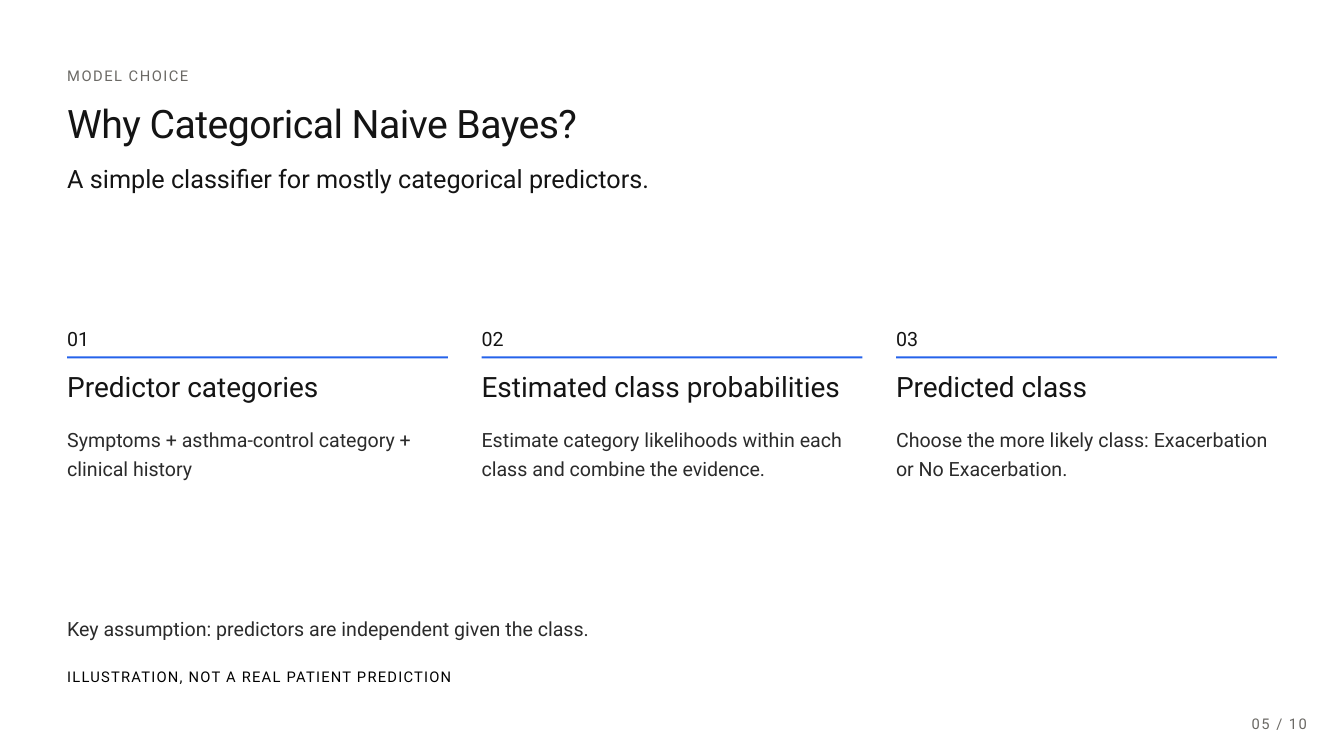
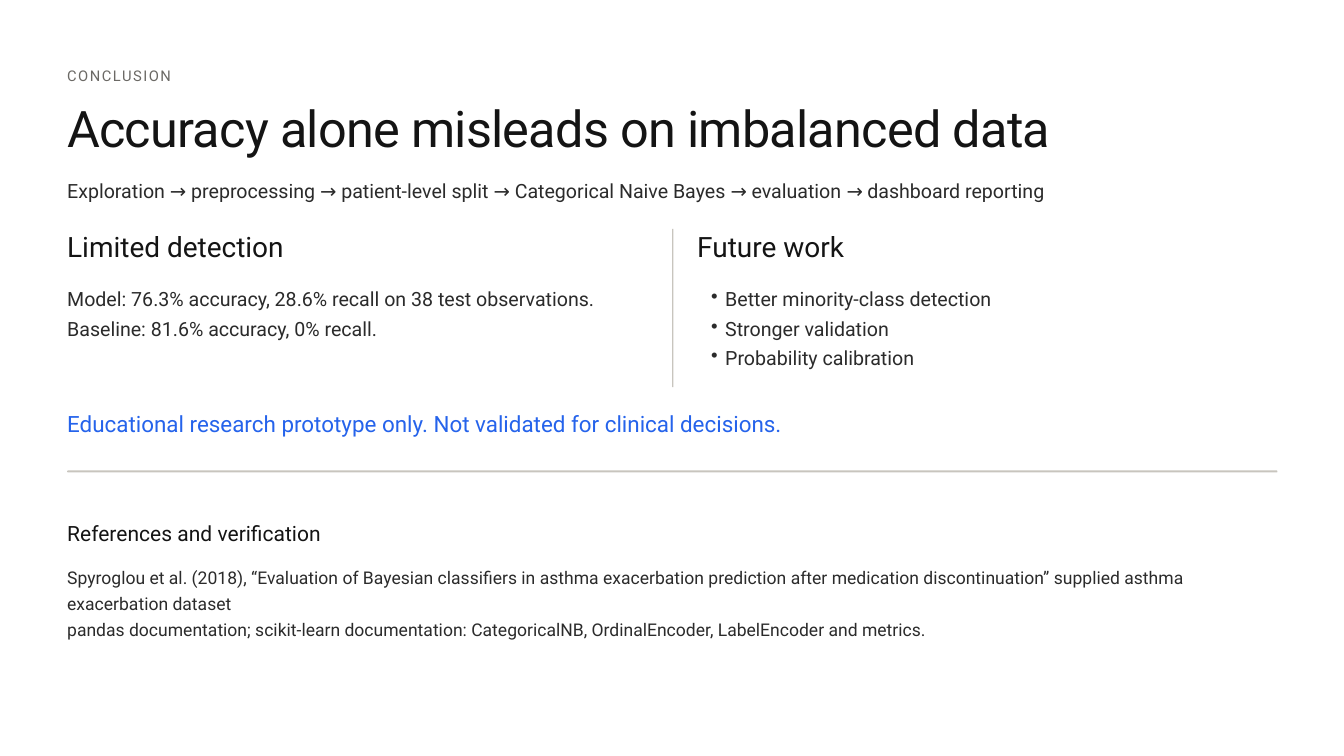
from collections import namedtuple

from lxml.etree import SubElement
from pptx import Presentation
from pptx.dml.color import RGBColor
from pptx.enum.shapes import MSO_SHAPE as Shape
from pptx.enum.text import MSO_ANCHOR as Anchor, MSO_AUTO_SIZE as AutoSize
from pptx.oxml.ns import qn
from pptx.util import Pt

PX = 9525  # EMU in one px, 96 px to the inch
SLIDE_W, SLIDE_H = 1920, 1080
LEFT, CONTENT_W = 96, 1729
FULL_W = SLIDE_W - LEFT
FONT = "Roboto"

COLORS = {
    "paper": "FFFFFF",
    "ink": "141414",
    "body": "2B2B2B",
    "muted": "6B6965",
    "black": "000000",
    "accent": "2563EB",
    "rule": "C8C5BE",
}

# Size, line spacing and tracking are in points.
Style = namedtuple("Style", "size leading color tracking", defaults=[0])
STYLES = {
    "kicker": Style(15.8, 22.1, "muted", 1.6),
    "title": Style(42, 45.4, "ink", -0.6),
    "big title": Style(54, 58.4, "ink", -0.8),
    "subtitle": Style(27, 37.9, "ink"),
    "number": Style(21, 20.9, "ink"),
    "heading": Style(30, 42.1, "ink"),
    "small heading": Style(22.5, 31.6, "ink"),
    "body": Style(21, 31.5, "body"),
    "reference": Style(18.8, 28.1, "body"),
    "caveat": Style(24, 36, "accent"),
    "disclaimer": Style(15.8, 23.6, "black", 1.3),
    "page": Style(15.8, 23.6, "muted", 1.6),
}

STEPS = [
    ("Predictor categories",
     "Symptoms + asthma-control category + clinical history"),
    ("Estimated class probabilities",
     "Estimate category likelihoods within each class and combine the evidence."),
    ("Predicted class",
     "Choose the more likely class: Exacerbation or No Exacerbation."),
]
STEP_GAP = 48

FINDINGS = [
    "Model: 76.3% accuracy, 28.6% recall on 38 test observations.",
    "Baseline: 81.6% accuracy, 0% recall.",
]
FUTURE_WORK = [
    "Better minority-class detection",
    "Stronger validation",
    "Probability calibration",
]
REFERENCES = [
    "Spyroglou et al. (2018), “Evaluation of Bayesian classifiers in asthma "
    "exacerbation prediction after medication discontinuation” supplied asthma "
    "exacerbation dataset",
    "pandas documentation; scikit-learn documentation: CategoricalNB, "
    "OrdinalEncoder, LabelEncoder and metrics.",
]


def px(*lengths):
    return [length * PX for length in lengths]


def rgb(color):
    return RGBColor.from_string(COLORS[color])


def add_bullet(paragraph):
    properties = paragraph._p.get_or_add_pPr()
    properties.set("marL", str(40 * PX))
    properties.set("indent", str(-20 * PX))
    SubElement(properties, qn("a:buChar"), char="•")


def add_text(slide, lines, style_name, left, top, width, height, bulleted=False):
    """Place one line, or a list of lines as paragraphs, in a named style."""
    style = STYLES[style_name]
    box = slide.shapes.add_textbox(*px(left, top, width, height))
    frame = box.text_frame
    frame.word_wrap = True
    frame.auto_size = AutoSize.SHAPE_TO_FIT_TEXT
    frame.margin_left = frame.margin_right = 0
    frame.margin_top = frame.margin_bottom = 0
    frame.text = lines if isinstance(lines, str) else "\n".join(lines)
    for paragraph in frame.paragraphs:
        paragraph.line_spacing = Pt(style.leading)
        if bulleted:
            add_bullet(paragraph)
        for run in paragraph.runs:
            run.font.name = FONT
            run.font.size = Pt(style.size)
            run.font.color.rgb = rgb(style.color)
            if style.tracking:
                run._r.get_or_add_rPr().set("spc", str(round(style.tracking * 100)))
    return frame


def add_bar(slide, color, left, top, width, height, outline=Shape.RECTANGLE):
    bar = slide.shapes.add_shape(outline, *px(left, top, width, height))
    bar.shadow.inherit = False
    bar.fill.solid()
    bar.fill.fore_color.rgb = rgb(color)
    bar.line.fill.background()
    return bar


def add_slide(deck, kicker, title, title_style, title_height):
    slide = deck.slides.add_slide(deck.slide_layouts[6])
    slide.background.fill.solid()
    slide.background.fill.fore_color.rgb = rgb("paper")
    add_text(slide, kicker, "kicker", LEFT, 91, FULL_W, 35)
    add_text(slide, title, title_style, LEFT, 148, CONTENT_W, title_height)
    return slide


def add_page_number(slide, page):
    frame = add_text(slide, page, "page", 1788, 1013, SLIDE_W - 1788, 36)
    frame.auto_size = AutoSize.NONE
    frame.vertical_anchor = Anchor.MIDDLE


def add_step(slide, number, heading, detail, left, width):
    add_text(slide, f"{number:02}", "number", left, 473, 128, 24)
    add_bar(slide, "accent", left, 509, width, 3)
    add_text(slide, heading, "heading", left, 520, width, 64)
    add_text(slide, detail, "body", left, 603, width, 91)


def add_column(slide, heading, lines, left, height, bulleted=False):
    add_text(slide, heading, "heading", left, 320, 828, 64)
    add_text(slide, lines, "body", left, 402, 828, height, bulleted)


def build_model_choice(deck):
    slide = add_slide(deck, "MODEL CHOICE", "Why Categorical Naive Bayes?", "title", 58)
    add_text(slide, "A simple classifier for mostly categorical predictors.",
             "subtitle", LEFT, 226, CONTENT_W, 58)
    step_width = (CONTENT_W - STEP_GAP * (len(STEPS) - 1)) // len(STEPS)
    for index, (heading, detail) in enumerate(STEPS):
        left = LEFT + index * (step_width + STEP_GAP)
        add_step(slide, index + 1, heading, detail, left, step_width)
    add_text(slide, "Key assumption: predictors are independent given the class.",
             "body", LEFT, 873, FULL_W, 49)
    add_text(slide, "ILLUSTRATION, NOT A REAL PATIENT PREDICTION",
             "disclaimer", LEFT, 948, FULL_W, 37)
    add_page_number(slide, "05 / 10")


def build_conclusion(deck):
    slide = add_slide(deck, "CONCLUSION", "Accuracy alone misleads on imbalanced data",
                      "big title", 75)
    add_text(slide,
             "Exploration → preprocessing → patient-level split → "
             "Categorical Naive Bayes → evaluation → dashboard reporting",
             "body", LEFT, 247, FULL_W, 49)
    add_column(slide, "Limited detection", FINDINGS, LEFT, 112)
    add_column(slide, "Future work", FUTURE_WORK, 996, 151, bulleted=True)
    add_text(slide,
             "Educational research prototype only. Not validated for clinical decisions.",
             "caveat", LEFT, 576, FULL_W, 57)
    divider = add_bar(slide, "rule", LEFT, 672, CONTENT_W, 3, Shape.ROUNDED_RECTANGLE)
    divider.adjustments[0] = 0.5
    add_text(slide, "References and verification", "small heading",
             LEFT, 737, CONTENT_W, 48)
    add_text(slide, REFERENCES, "reference", LEFT, 802, CONTENT_W, 112)
    add_bar(slide, "rule", 960, 327, 2, 226)


def main():
    deck = Presentation()
    deck.slide_width, deck.slide_height = px(SLIDE_W, SLIDE_H)
    build_model_choice(deck)
    build_conclusion(deck)
    deck.save("out.pptx")


if __name__ == "__main__":
    main()
